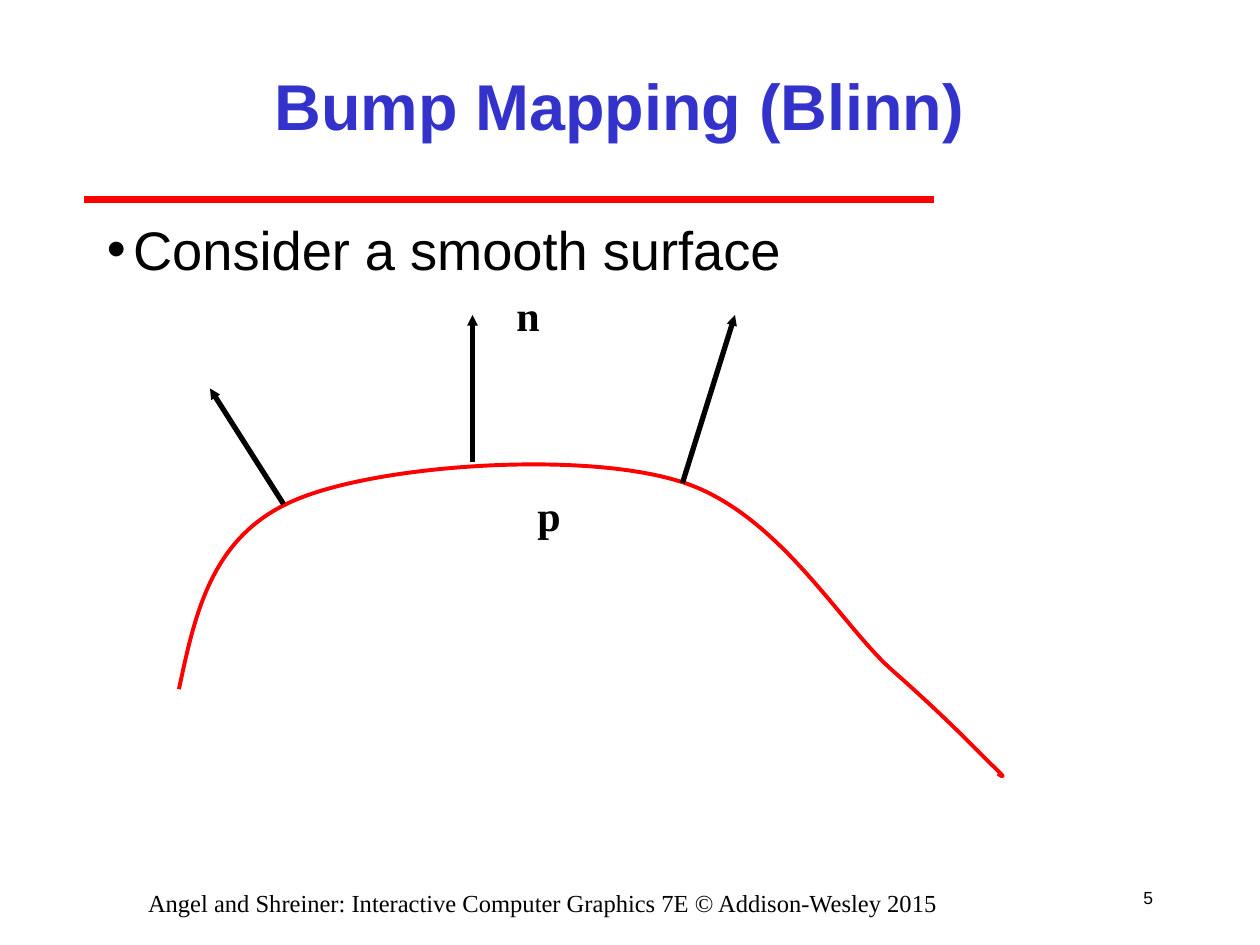
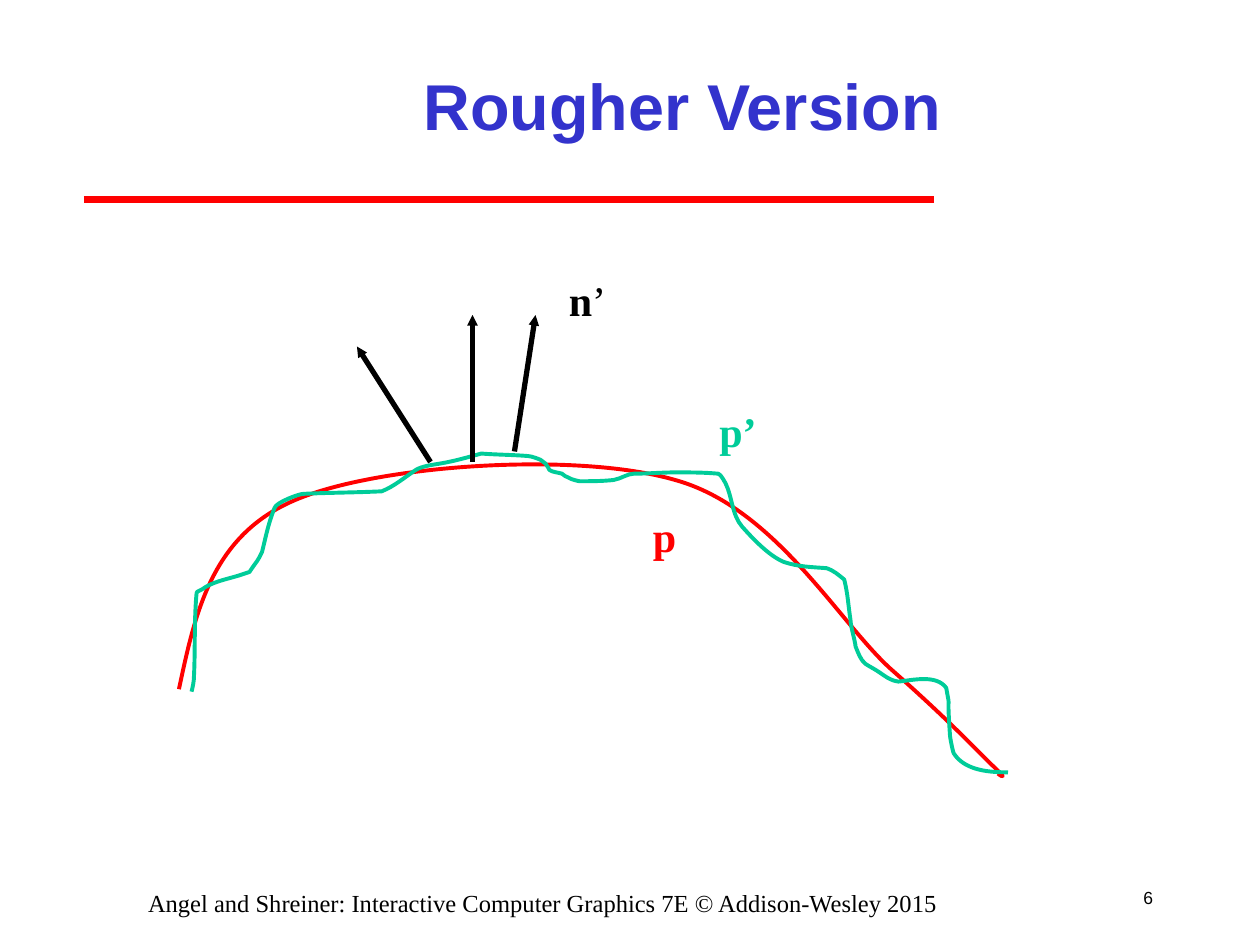
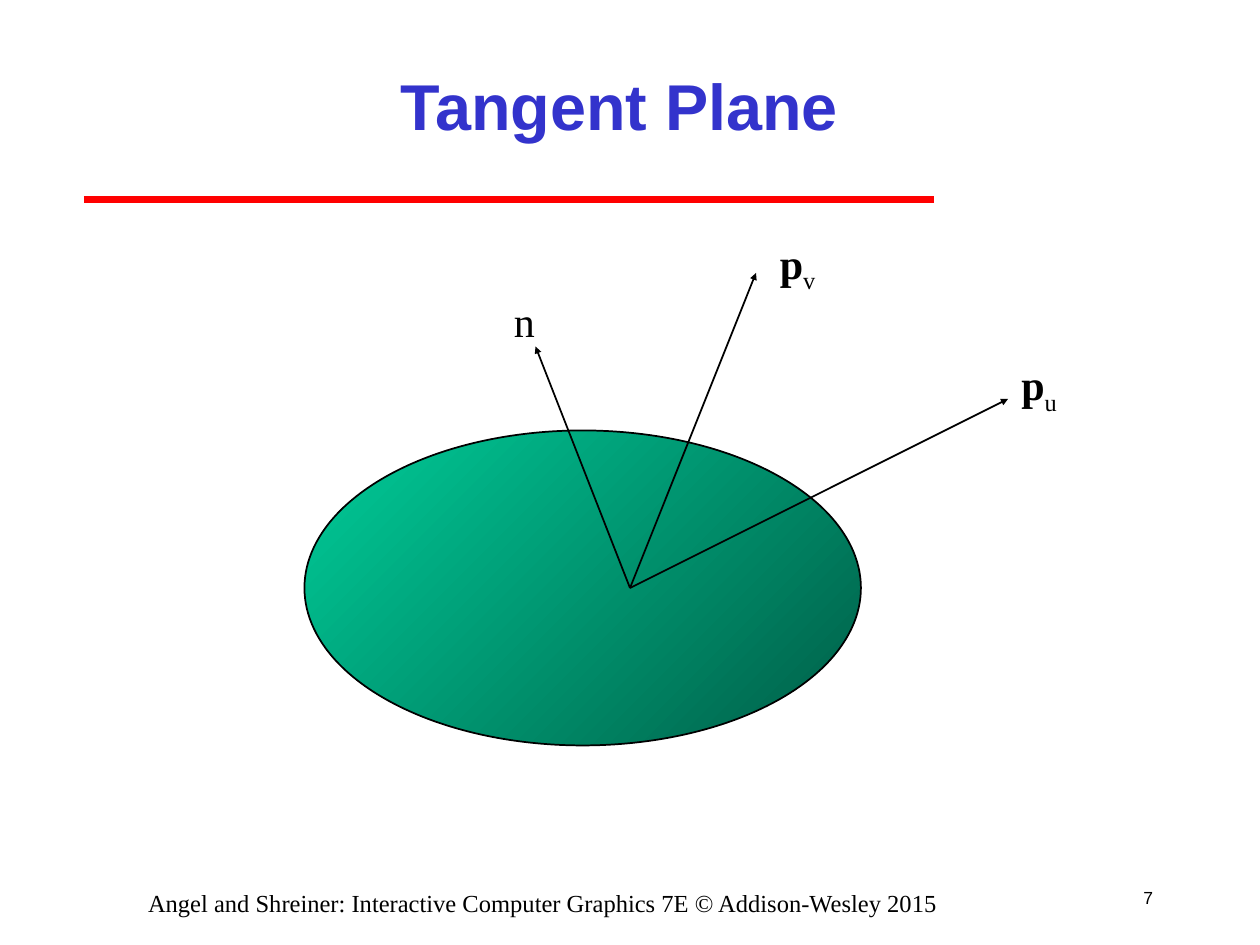
from dataclasses import dataclass

from lxml.etree import SubElement
from pptx import Presentation
from pptx.dml.color import RGBColor
from pptx.enum.shapes import MSO_CONNECTOR, MSO_SHAPE
from pptx.enum.text import MSO_ANCHOR, MSO_AUTO_SIZE, PP_ALIGN
from pptx.oxml.ns import qn
from pptx.slide import Slide
from pptx.text.text import Font, TextFrame
from pptx.util import Pt

Point = tuple[float, float]
Box = tuple[float, float, float, float]


@dataclass(frozen=True)
class Theme:
    sans: str = "Arial"
    serif: str = "Times New Roman"
    black: str = "000000"
    blue: str = "3333CC"
    red: str = "FF0000"
    green: str = "00CC99"
    dark: str = "005E47"
    title: float = 37
    body: float = 31
    label: float = 24
    foot: float = 14
    number: float = 10
    rule: float = 4
    bold: float = 3
    curve: float = 2.25
    thin: float = 1


THEME = Theme()


@dataclass(frozen=True)
class Arrow:
    start: Point
    end: Point


@dataclass(frozen=True)
class Bit:
    text: str
    bold: bool = True
    color: str = THEME.black
    sub: bool = False


@dataclass(frozen=True)
class Label:
    box: Box
    bits: tuple[Bit, ...]


@dataclass(frozen=True)
class Curve:
    """Joined cubic Bezier pieces: a start, then three points for each piece."""
    color: str
    knots: tuple[Point, ...]


@dataclass(frozen=True)
class Page:
    title: str
    weight: float
    arrows: tuple[Arrow, ...]
    labels: tuple[Label, ...]
    curves: tuple[Curve, ...] = ()
    bullet: str = ""
    plane: Box | None = None


FOOTER = "Angel and Shreiner: Interactive Computer Graphics 7E © Addison-Wesley 2015 "
FIRST = 5
GRID = 0.72  # points in one unit of the curve grid

SMOOTH = Curve(THEME.red, (
    (142, 547), (155, 486), (168, 425), (234, 397),
    (299, 369), (457, 358), (536, 381), (615, 403), (665, 493), (707, 531),
    (749, 568), (772, 592), (786, 606), (800, 619), (796, 617), (792, 614),
))
ROUGH = Curve(THEME.green, (
    (152, 549), (153, 545), (154, 541), (154, 536),
    (155, 515), (154, 493), (156, 471), (156, 469), (159, 469), (160, 468),
    (168, 462), (179, 460), (189, 457), (192, 456), (198, 454), (198, 454),
    (206, 442), (203, 448), (208, 438), (211, 426), (213, 415), (218, 403),
    (219, 399), (237, 392), (241, 392), (262, 391), (282, 391), (303, 390),
    (313, 386), (321, 379), (330, 373), (335, 370), (343, 369), (349, 368),
    (361, 366), (371, 363), (382, 360), (395, 361), (407, 361), (419, 362),
    (422, 362), (429, 365), (429, 365), (430, 366), (432, 367), (433, 368),
    (435, 370), (435, 372), (436, 373), (439, 375), (443, 375), (446, 376),
    (448, 377), (449, 379), (451, 379), (454, 381), (460, 382), (460, 382),
    (469, 382), (478, 382), (487, 381), (493, 380), (498, 376), (503, 376),
    (514, 376), (525, 375), (536, 375), (548, 375), (559, 375), (570, 376),
    (572, 376), (576, 384), (576, 384), (581, 394), (581, 409), (589, 418),
    (597, 427), (610, 441), (622, 446), (634, 450), (643, 450), (656, 451),
    (662, 453), (665, 456), (670, 460), (673, 472), (673, 479), (675, 492),
    (675, 497), (679, 510), (679, 513), (681, 518), (683, 524), (687, 527),
    (690, 529), (694, 531), (697, 533), (703, 537), (706, 540), (713, 541),
    (724, 540), (743, 535), (751, 546), (755, 569), (751, 541), (754, 584),
    (754, 585), (756, 596), (757, 598), (766, 612), (786, 613), (800, 613),
))
UP = Arrow((270, 264), (270, 180))
HUB = (360, 336)

PAGES = (
    Page(
        "Bump Mapping (Blinn)", THEME.bold,
        (Arrow((162, 288), (120, 222)), Arrow((390, 276), (420, 180)), UP),
        (Label((288, 162, 27.4, 36), (Bit("n"),)),
         Label((300, 276, 27.4, 36), (Bit("p"),))),
        curves=(SMOOTH,), bullet="Consider a smooth surface",
    ),
    Page(
        "\tRougher Version", THEME.bold,
        (Arrow((246, 264), (204, 198)), Arrow((294, 258), (306, 180)), UP),
        (Label((318, 153.5, 36, 36), (Bit("n"), Bit("’", bold=False))),
         Label((366, 288, 27.4, 36), (Bit("p", color=THEME.red),)),
         Label((404, 228, 36, 36), (Bit("p’", color=THEME.green),))),
        curves=(SMOOTH, ROUGH),
    ),
    Page(
        "Tangent Plane", THEME.thin,
        tuple(Arrow(HUB, tip) for tip in ((576, 228), (432, 156), (306, 198))),
        (Label((576.5, 201.5, 35, 40), (Bit("p"), Bit("u", False, sub=True))),
         Label((438.5, 132, 35, 40), (Bit("p"), Bit("v", False, sub=True))),
         Label((286.5, 165.5, 26.4, 36), (Bit("n", bold=False),))),
        plane=(174, 246, 318, 180),
    ),
)


def style(font: Font, name: str, size: float, color: str, bold: bool = False) -> None:
    font.name, font.size, font.bold = name, Pt(size), bold
    font.color.rgb = RGBColor.from_string(color)


def add_text(slide: Slide, box: Box, text: str = "") -> TextFrame:
    frame = slide.shapes.add_textbox(*map(Pt, box)).text_frame
    frame.word_wrap = True
    frame.text = text
    return frame


def add_line(slide: Slide, line: Arrow, color: str, width: float, head: bool = True) -> None:
    link = slide.shapes.add_connector(
        MSO_CONNECTOR.STRAIGHT, *map(Pt, line.start + line.end))
    link.line.color.rgb = RGBColor.from_string(color)
    link.line.width = Pt(width)
    props = link._element.spPr
    if head:
        SubElement(props.find(qn("a:ln")), qn("a:tailEnd"),
                   type="triangle", w="sm", len="sm")
    SubElement(props, qn("a:effectLst"))


def add_curve(slide: Slide, curve: Curve) -> None:
    """Build the outline from all knots, then join each three lines as one Bezier."""
    start, *rest = [(Pt(x * GRID), Pt(y * GRID)) for x, y in curve.knots]
    pen = slide.shapes.build_freeform(*start)
    pen.add_line_segments(rest, close=False)
    shape = pen.convert_to_shape()
    lines = list(shape._element.iter(qn("a:lnTo")))
    route = lines[0].getparent()
    for i in range(0, len(lines), 3):
        bend = SubElement(route, qn("a:cubicBezTo"))
        for line in lines[i:i + 3]:
            bend.append(line[0])
            route.remove(line)
    shape.shadow.inherit = False
    shape.fill.background()
    shape.line.color.rgb = RGBColor.from_string(curve.color)
    shape.line.width = Pt(THEME.curve)


def add_label(slide: Slide, label: Label) -> None:
    frame = add_text(slide, label.box)
    frame.word_wrap = False
    frame.auto_size = MSO_AUTO_SIZE.SHAPE_TO_FIT_TEXT
    for bit in label.bits:
        run = frame.paragraphs[0].add_run()
        run.text = bit.text
        style(run.font, THEME.serif, THEME.label, bit.color, bit.bold)
        if bit.sub:
            run._r.get_or_add_rPr().set("baseline", "-25000")


def add_plane(slide: Slide, box: Box) -> None:
    oval = slide.shapes.add_shape(MSO_SHAPE.OVAL, *map(Pt, box))
    oval.shadow.inherit = False
    oval.fill.gradient()
    oval.fill.gradient_angle = 135
    for stop, color, place in zip(
            oval.fill.gradient_stops, (THEME.dark, THEME.green), (0, 1)):
        stop.color.rgb = RGBColor.from_string(color)
        stop.position = place
    oval.line.color.rgb = RGBColor.from_string(THEME.black)
    oval.line.width = Pt(THEME.thin)


def add_bullet(slide: Slide, text: str) -> None:
    para = add_text(slide, (54, 120, 612, 372), text).paragraphs[0]
    props = para._p.get_or_add_pPr()
    props.set("marL", str(Pt(15)))
    props.set("indent", str(-Pt(15)))
    SubElement(props, qn("a:buFont"), typeface=THEME.sans)
    SubElement(props, qn("a:buChar"), char="•")
    style(para.runs[0].font, THEME.sans, THEME.body, THEME.black)


def set_title(slide: Slide, text: str) -> None:
    title = slide.shapes.title
    title.left, title.top, title.width, title.height = map(Pt, (108, 18, 492, 84))
    frame = title.text_frame
    frame.text = text
    frame.word_wrap = True
    frame.auto_size = MSO_AUTO_SIZE.NONE
    frame.vertical_anchor = MSO_ANCHOR.MIDDLE
    para = frame.paragraphs[0]
    para.alignment = PP_ALIGN.CENTER
    tabs = SubElement(para._p.get_or_add_pPr(), qn("a:tabLst"))
    for stop in range(8):
        SubElement(tabs, qn("a:tab"), pos=str(Pt(72 * stop)), algn="l")
    style(para.runs[0].font, THEME.sans, THEME.title, THEME.blue, True)


def add_frame(slide: Slide, number: int) -> None:
    """Draw the rule, slide number and footer that every slide has."""
    add_line(slide, Arrow((48, 114), (534, 114)), THEME.red, THEME.rule, head=False)
    count = add_text(slide, (636, 498, 30, 30), str(number))
    count.vertical_anchor = MSO_ANCHOR.MIDDLE
    foot = add_text(slide, (36, 504, 552, 18), FOOTER)
    for frame, side, name, size in (
            (count, PP_ALIGN.RIGHT, THEME.sans, THEME.number),
            (foot, PP_ALIGN.CENTER, THEME.serif, THEME.foot)):
        para = frame.paragraphs[0]
        para.alignment = side
        style(para.runs[0].font, name, size, THEME.black)


def add_page(deck: Presentation, page: Page, number: int) -> None:
    slide = deck.slides.add_slide(deck.slide_layouts[5])
    set_title(slide, page.title)
    add_frame(slide, number)
    if page.bullet:
        add_bullet(slide, page.bullet)
    if page.plane:
        add_plane(slide, page.plane)
    for curve in page.curves:
        add_curve(slide, curve)
    for arrow in page.arrows:
        add_line(slide, arrow, THEME.black, page.weight)
    for label in page.labels:
        add_label(slide, label)


def main() -> None:
    deck = Presentation()
    deck.slide_width, deck.slide_height = Pt(720), Pt(540)
    for number, page in enumerate(PAGES, FIRST):
        add_page(deck, page, number)
    deck.save("out.pptx")


if __name__ == "__main__":
    main()
